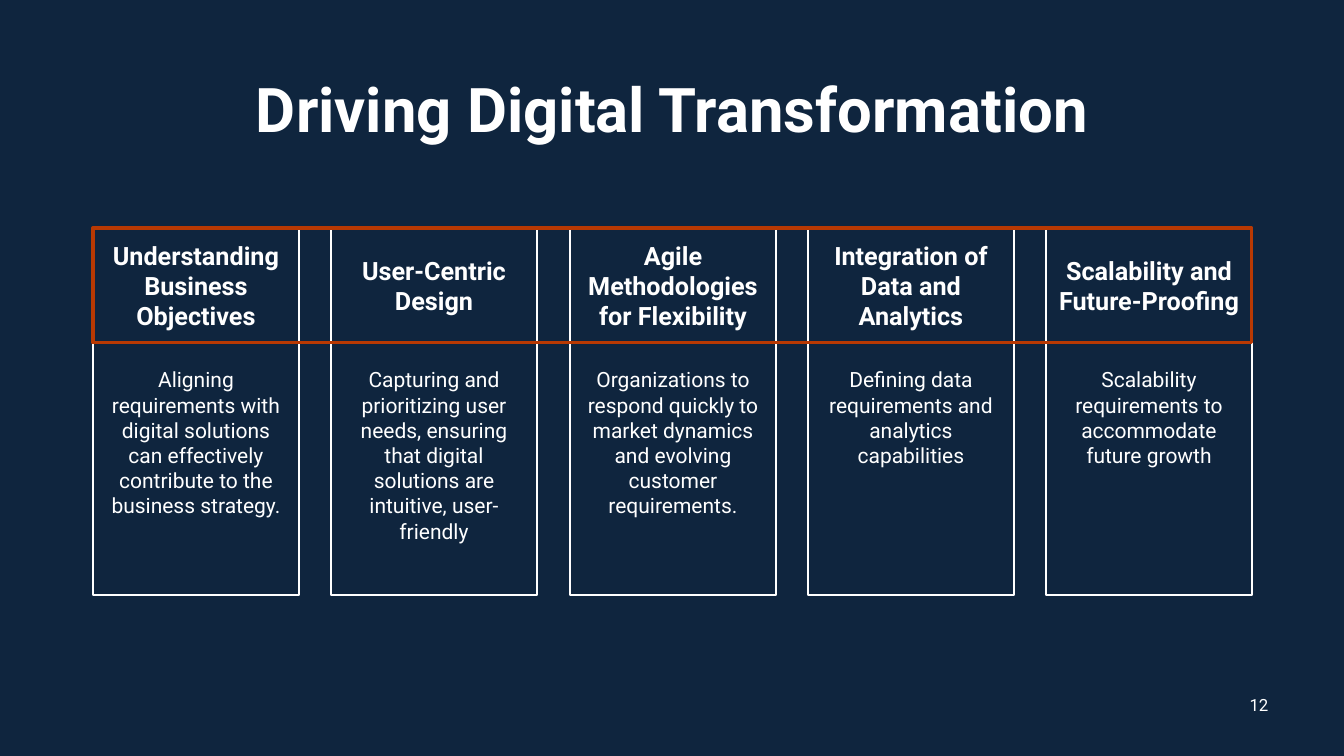
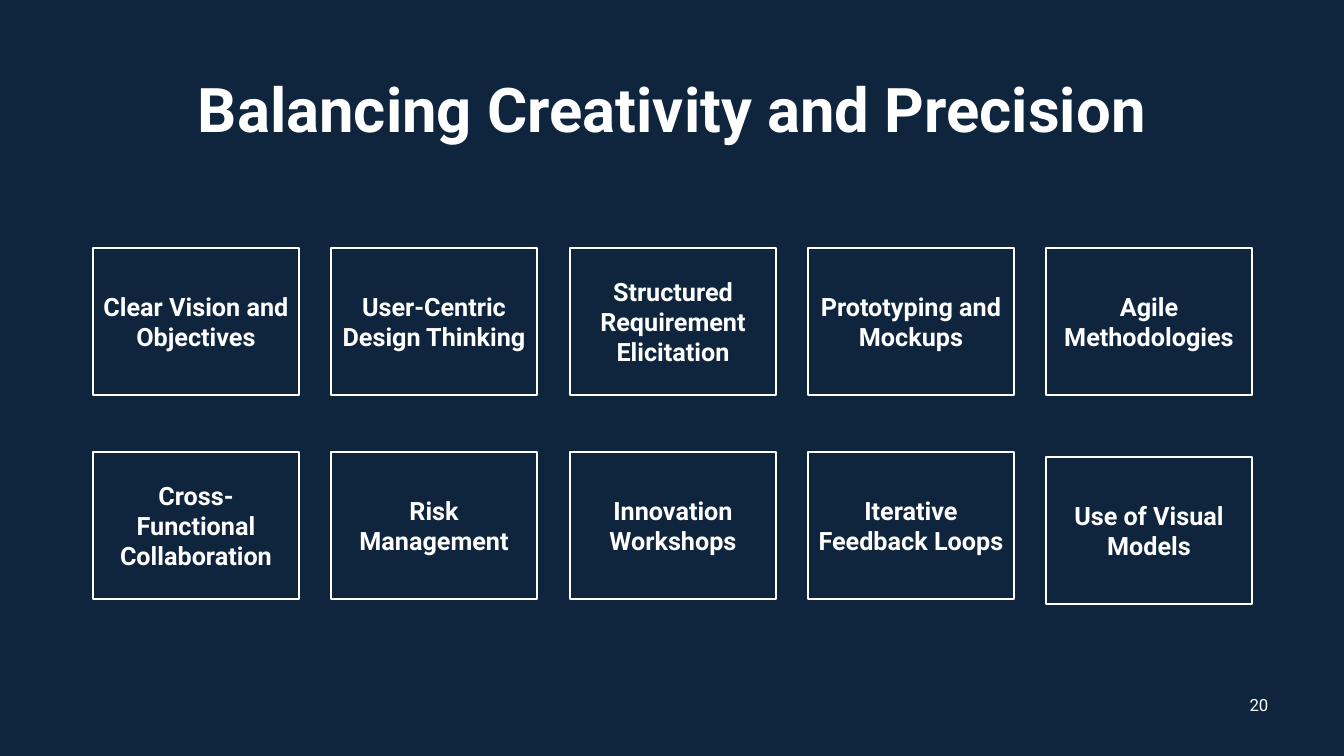
"""Builds two dark slides of outlined cards set in five columns."""
import pptx
import pptx.dml.color
import pptx.enum.shapes
import pptx.enum.text
import pptx.util

SLIDE_WIDTH, SLIDE_HEIGHT = 1344, 756
SCALE = 12192000 / SLIDE_WIDTH
NAVY = pptx.dml.color.RGBColor(0x0F, 0x25, 0x3E)
WHITE = pptx.dml.color.RGBColor(0xFF, 0xFF, 0xFF)
RUST = pptx.dml.color.RGBColor(0xB8, 0x39, 0x03)
FONT = "Roboto"
TOP = pptx.enum.text.MSO_ANCHOR.TOP
MIDDLE = pptx.enum.text.MSO_ANCHOR.MIDDLE

LEFT, CONTENT_WIDTH = 93, 1159
CARD_WIDTH, COLUMNS = 206, 5
COLUMN_STEP = (CONTENT_WIDTH - CARD_WIDTH) / (COLUMNS - 1)
COLUMN_LEFTS = [round(LEFT + column * COLUMN_STEP) for column in range(COLUMNS)]
HEADER_TOP, HEADER_HEIGHT, DETAIL_HEIGHT = 228, 115, 252
TILE_HEIGHT = 147

PILLARS = [
    ("Understanding Business Objectives",
     "Aligning requirements with digital solutions can effectively contribute to the business strategy."),
    ("User-Centric Design",
     "Capturing and prioritizing user needs, ensuring that digital solutions are intuitive, user-friendly"),
    ("Agile Methodologies for Flexibility",
     "Organizations to respond quickly to market dynamics and evolving customer requirements."),
    ("Integration of Data and Analytics",
     "Defining data requirements and analytics capabilities"),
    ("Scalability and Future-Proofing",
     "Scalability requirements to accommodate future growth"),
]
TILE_ROWS = [
    ([248] * COLUMNS,
     ["Clear Vision and Objectives", "User-Centric Design Thinking",
      "Structured Requirement Elicitation", "Prototyping and Mockups",
      "Agile Methodologies"]),
    ([452] * 4 + [457],
     ["Cross-Functional Collaboration", "Risk Management",
      "Innovation Workshops", "Iterative Feedback Loops",
      "Use of Visual Models"]),
]


def add_box(slide, bounds, text="", size=18, bold=True, line=WHITE, line_width=1.5,
            anchor=MIDDLE, top_inset=5, line_spacing=1.0):
    """Adds an unfilled rectangle with centred text; line=None leaves it bare."""
    position = [round(length * SCALE) for length in bounds]
    if line is None:
        box = slide.shapes.add_textbox(*position)
    else:
        box = slide.shapes.add_shape(pptx.enum.shapes.MSO_SHAPE.RECTANGLE, *position)
        box.shadow.inherit = False
        box.fill.background()
        box.line.color.rgb = line
        box.line.width = pptx.util.Pt(line_width)
    if text:
        frame = box.text_frame
        frame.word_wrap = True
        frame.vertical_anchor = anchor
        frame.margin_top = round(top_inset * SCALE)
        para = frame.paragraphs[0]
        para.text = text
        para.alignment = pptx.enum.text.PP_ALIGN.CENTER
        para.line_spacing = line_spacing
        para.font.name = FONT
        para.font.size = pptx.util.Pt(size)
        para.font.bold = bold
        para.font.color.rgb = WHITE


def add_page(deck, title, number):
    """Adds a blank slide with the shared title and page number."""
    slide = deck.slides.add_slide(deck.slide_layouts[6])
    add_box(slide, (LEFT, 40, CONTENT_WIDTH, 146), title, size=44, line=None, line_spacing=0.9)
    add_box(slide, (1234, 685, 50, 40), number, size=12, bold=False, line=None)
    return slide


deck = pptx.Presentation()
deck.slide_width = round(SLIDE_WIDTH * SCALE)
deck.slide_height = round(SLIDE_HEIGHT * SCALE)
background = deck.slide_master.background.fill
background.solid()
background.fore_color.rgb = NAVY

page = add_page(deck, "Driving Digital Transformation", "12")
for left, (heading, detail) in zip(COLUMN_LEFTS, PILLARS):
    add_box(page, (left, HEADER_TOP, CARD_WIDTH, HEADER_HEIGHT), heading)
    add_box(page, (left, HEADER_TOP + HEADER_HEIGHT, CARD_WIDTH, DETAIL_HEIGHT), detail,
            size=15, bold=False, anchor=TOP, top_inset=24)
add_box(page, (LEFT, HEADER_TOP, CONTENT_WIDTH, HEADER_HEIGHT), line=RUST, line_width=2.25)

page = add_page(deck, "Balancing Creativity and Precision", "20")
for tops, labels in TILE_ROWS:
    for left, top, label in zip(COLUMN_LEFTS, tops, labels):
        add_box(page, (left, top, CARD_WIDTH, TILE_HEIGHT), label)

deck.save("out.pptx")
